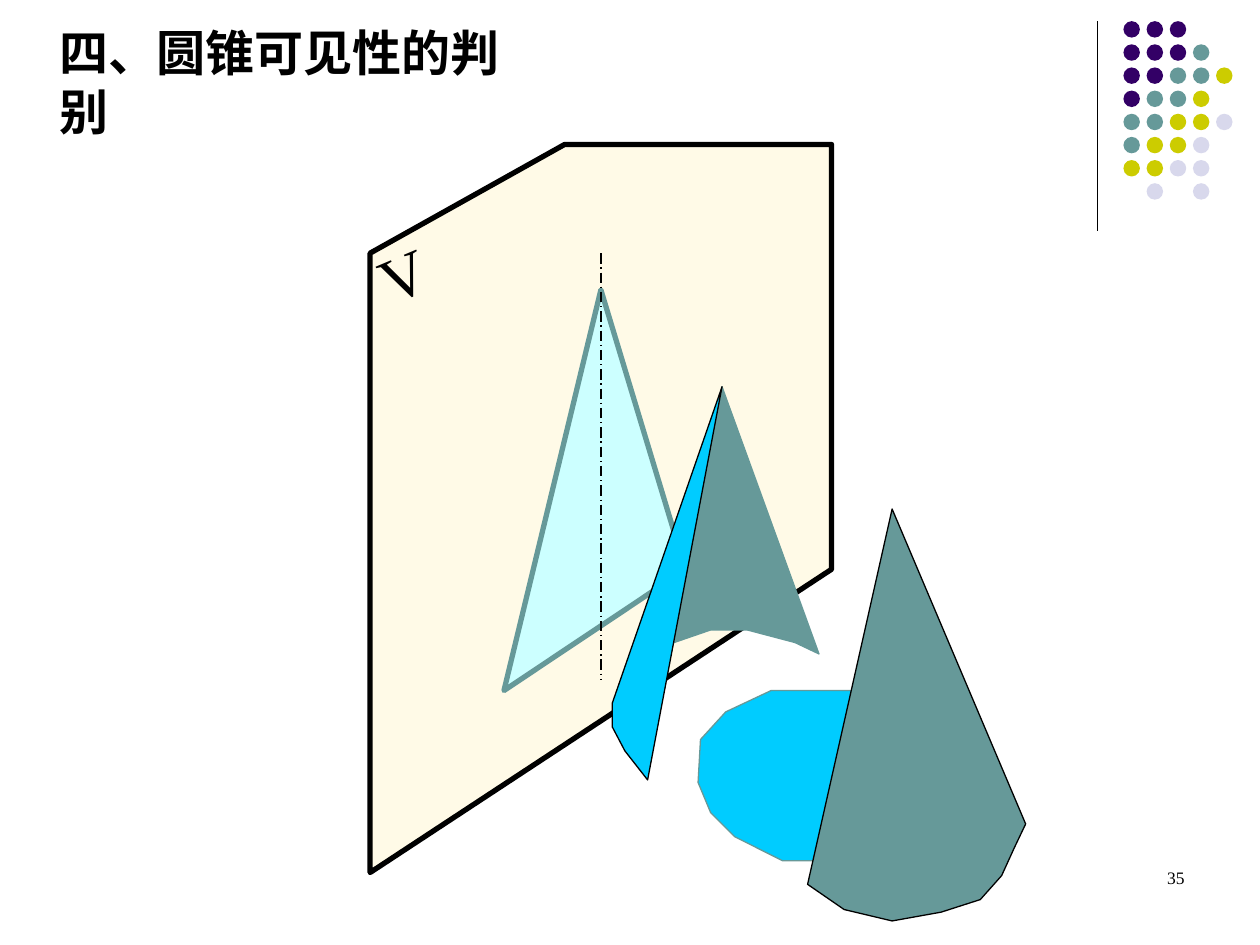
import pptx
import pptx.dml.color
import pptx.enum.dml
import pptx.enum.shapes
import pptx.enum.text
import pptx.oxml.ns
import pptx.util
import lxml.etree

Pt = pptx.util.Pt

BLACK, TEAL, CYAN = "000000", "669999", "00CCFF"
DOT_COLOURS = {"P": "330066", "T": TEAL, "Y": "CCCC00", "L": "D8D8EC"}
DOT_ROWS = ["PPP", "PPPT", "PPTTY", "PTTY", "TTYYL", "TYYL", "YYLL", " L L"]
DOT_LEFT, DOT_TOP, DOT_PITCH, DOT_SIZE = 642, 12.1, 13.23, 9.4

WALL = [(211.5, 144.7), (211.5, 498.6), (475.2, 325.3),
        (475.2, 82.6), (322.6, 82.6)]
PROJECTION = [(343.4, 165.6), (288, 394.6), (391.7, 325.4)]
BASE = [(496.1, 394.6), (440.6, 394.6), (414.7, 406.8), (400.3, 422.6),
        (398.9, 447.1), (406.1, 464.4), (419.8, 478.1), (447.1, 491.8),
        (496.1, 491.8)]
BACK_HALF = [(412.6, 221), (468, 373.7), (454.3, 367.2), (427, 360),
             (406.1, 360), (385.2, 367.2)]
INNER_SIDE = [(412.6, 221), (349.9, 401.8), (349.9, 415.4),
              (357.1, 429.1), (370.1, 445.7)]
FRONT_HALF = [(509.8, 290.9), (461.5, 505.4), (482.4, 519.8),
              (509.8, 526.3), (537.8, 521.3), (560.2, 514.1),
              (572.4, 500.4), (579.6, 484.6), (586.1, 470.9)]


def colour(hex_string):
    return pptx.dml.color.RGBColor.from_string(hex_string)


def paint(shape, fill, line=None, width=0.75):
    shape.shadow.inherit = False
    shape.fill.solid()
    shape.fill.fore_color.rgb = colour(fill)
    if line:
        shape.line.color.rgb = colour(line)
        shape.line.width = Pt(width)
    else:
        shape.line.fill.background()


def add_polygon(slide, points, fill, line, width=0.75):
    corners = [(Pt(x), Pt(y)) for x, y in points]
    builder = slide.shapes.build_freeform(*corners[0])
    builder.add_line_segments(corners[1:], close=True)
    paint(builder.convert_to_shape(), fill, line, width)


def add_vertical_line(slide, x, top, bottom, dash=None):
    connector = slide.shapes.add_connector(
        pptx.enum.shapes.MSO_CONNECTOR.STRAIGHT, Pt(x), Pt(top), Pt(x), Pt(bottom))
    connector.line.color.rgb = colour(BLACK)
    connector.line.width = Pt(0.75)
    if dash:
        connector.line.dash_style = dash
    properties = connector._element.spPr
    lxml.etree.SubElement(properties, pptx.oxml.ns.qn("a:effectLst"))


def add_dots(slide):
    for row, letters in enumerate(DOT_ROWS):
        for column, letter in enumerate(letters):
            if letter in DOT_COLOURS:
                dot = slide.shapes.add_shape(
                    pptx.enum.shapes.MSO_SHAPE.OVAL,
                    Pt(DOT_LEFT + column * DOT_PITCH), Pt(DOT_TOP + row * DOT_PITCH),
                    Pt(DOT_SIZE), Pt(DOT_SIZE))
                paint(dot, DOT_COLOURS[letter])


def write_text(shape, text, size, font="Times New Roman", bold=False,
               align=pptx.enum.text.PP_ALIGN.LEFT, wrap=True):
    frame = shape.text_frame
    frame.word_wrap = wrap
    frame.auto_size = pptx.enum.text.MSO_AUTO_SIZE.NONE
    frame.vertical_anchor = pptx.enum.text.MSO_ANCHOR.TOP
    paragraph = frame.paragraphs[0]
    paragraph.alignment = align
    paragraph.space_before = Pt(0)
    run = paragraph.add_run()
    run.text = text
    run.font.name = font
    run.font.size = Pt(size)
    run.font.bold = bold
    run.font.color.rgb = colour(BLACK)


def add_text(slide, text, left, top, width, height, rotation=0, **text_format):
    shape = slide.shapes.add_textbox(Pt(left), Pt(top), Pt(width), Pt(height))
    shape.rotation = rotation
    write_text(shape, text, **text_format)


def set_title(slide, text, left, top, width, height, **text_format):
    title = slide.shapes.title
    title.left, title.top = Pt(left), Pt(top)
    title.width, title.height = Pt(width), Pt(height)
    write_text(title, text, **text_format)


def main():
    presentation = pptx.Presentation()
    presentation.slide_width, presentation.slide_height = Pt(720), Pt(540)
    slide = presentation.slides.add_slide(presentation.slide_layouts[5])

    add_vertical_line(slide, 627, 12.2, 132)
    add_dots(slide)

    add_polygon(slide, WALL, "FFFAE7", BLACK, 3)
    add_polygon(slide, PROJECTION, "CCFFFF", TEAL, 3)
    add_polygon(slide, BASE, CYAN, TEAL)
    add_polygon(slide, BACK_HALF, TEAL, TEAL)
    add_polygon(slide, INNER_SIDE, CYAN, BLACK)
    add_polygon(slide, FRONT_HALF, TEAL, BLACK)
    add_vertical_line(slide, 343.4, 144.7, 388,
                      pptx.enum.dml.MSO_LINE.LONG_DASH_DOT)

    add_text(slide, "V", 210.2, 131, 41.8, 50.4, rotation=337.1, size=36)
    set_title(slide, "四、圆锥可见性的判别", 26.6, 9.4, 293.8, 41,
              size=28, font="Arial", bold=True, wrap=False)
    add_text(slide, "35", 516.2, 491.8, 167.8, 36, size=10,
             align=pptx.enum.text.PP_ALIGN.RIGHT)

    presentation.save("out.pptx")


if __name__ == "__main__":
    main()
